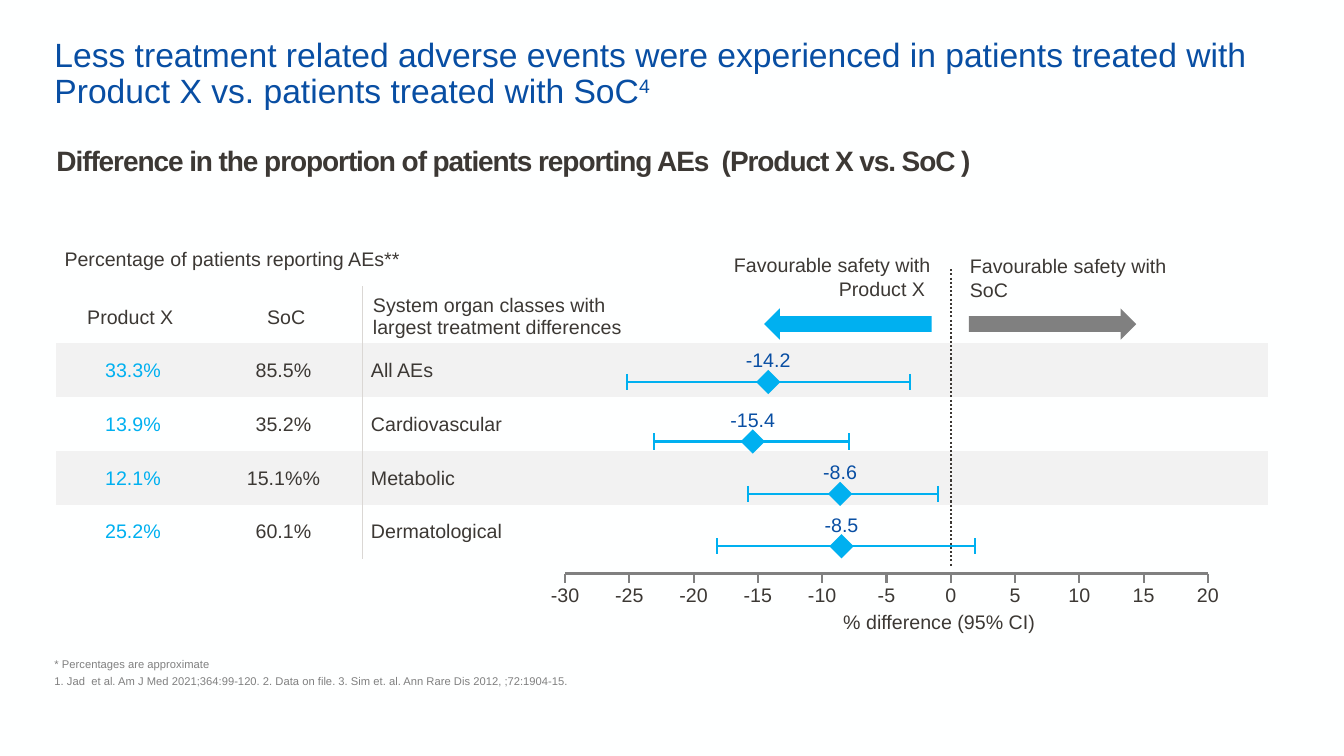
from lxml import etree
from pptx import Presentation
from pptx.dml.color import RGBColor
from pptx.enum.dml import MSO_LINE
from pptx.enum.shapes import MSO_CONNECTOR, MSO_SHAPE
from pptx.enum.text import MSO_ANCHOR, MSO_AUTO_SIZE, PP_ALIGN
from pptx.oxml.ns import qn
from pptx.util import Inches, Pt

# Content
TITLE = ("Less treatment related adverse events were experienced in patients "
         "treated with Product X vs. patients treated with SoC")
TITLE_REF = "4"
SUBTITLE = "Difference in the proportion of patients reporting AEs  (Product X vs. SoC )"
FOOTNOTES = [
    "* Percentages are approximate",
    "1. Jad  et al. Am J Med 2021;364:99-120. 2. Data on file. "
    "3. Sim et. al. Ann Rare Dis 2012, ;72:1904-15.",
]
TABLE_TITLE = "Percentage of patients reporting AEs**"
HEADERS = ("Product X ", "SoC", "System organ classes with\vlargest treatment differences")
# Product X, SoC, organ class, difference, CI low, CI high, height of the marker
EVENTS = [
    ("33.3%", "85.5% ", "All AEs", -14.2, -25.2, -3.2, 3.79),
    ("13.9%", "35.2% ", "Cardiovascular", -15.4, -23.1, -7.9, 4.38),
    ("12.1%", "15.1%% ", "Metabolic", -8.6, -15.8, -1.0, 4.90),
    ("25.2%", "60.1% ", "Dermatological", -8.5, -18.2, 1.9, 5.42),
]
AXIS_TITLE = "% difference (95% CI)"
AXIS_MIN, AXIS_MAX, AXIS_STEP = -30, 20, 5

# Colours and constants
PAPER = RGBColor(0xFE, 0xFF, 0xFF)
NAVY = RGBColor(0x08, 0x4E, 0xA3)
INK = RGBColor(0x3C, 0x38, 0x34)
CYAN = RGBColor(0x00, 0xB0, 0xF0)
GREY = RGBColor(0x80, 0x80, 0x80)
BAND = RGBColor(0xF2, 0xF2, 0xF2)
RULE = RGBColor(0xDA, 0xD7, 0xD4)
LEFT, CENTER, RIGHT = PP_ALIGN.LEFT, PP_ALIGN.CENTER, PP_ALIGN.RIGHT
TOP, MIDDLE, BOTTOM = MSO_ANCHOR.TOP, MSO_ANCHOR.MIDDLE, MSO_ANCHOR.BOTTOM
NO_AUTOFIT = MSO_AUTO_SIZE.NONE
DOTTED = MSO_LINE.ROUND_DOT
NO_TABLE_STYLE = "{2D5ABB26-0587-4C30-8999-92F81FD0307C}"

# Layout, in inches
COLUMNS = (1.52, 1.52, 8.98)
ROWS = (0.5, 0.53) + (0.535,) * len(EVENTS)
AXIS_Y, TICK = 5.69, 0.09
ZERO_X, UNIT = 9.43, 0.1275
CAP, DIAMOND = 0.08, 0.24

prs = Presentation()
prs.slide_width, prs.slide_height = Inches(13.33), Inches(7.5)
slide = prs.slides.add_slide(prs.slide_layouts[1])
slide.background.fill.solid()
slide.background.fill.fore_color.rgb = PAPER
shapes = slide.shapes


def axis_x(value):
    return ZERO_X + value * UNIT


def style(paragraph, size, color, align=LEFT, bold=False):
    paragraph.alignment = align
    font = paragraph.font
    font.name, font.size, font.bold = "Arial", Pt(size), bold
    font.color.rgb = color


def set_margins(target, left=0, top=0, right=0, bottom=0):
    target.margin_left, target.margin_top = Inches(left), Inches(top)
    target.margin_right, target.margin_bottom = Inches(right), Inches(bottom)


def place(shape, left, top, width, height):
    shape.left, shape.top = Inches(left), Inches(top)
    shape.width, shape.height = Inches(width), Inches(height)


def add_text(text, left, top, width, height, align=LEFT, size=14, wrap=True, bold=False):
    frame = shapes.add_textbox(Inches(left), Inches(top), Inches(width), Inches(height)).text_frame
    set_margins(frame)
    frame.word_wrap = wrap
    frame.text = text
    style(frame.paragraphs[0], size, INK, align, bold)
    return frame.paragraphs[0]


def add_line(x1, y1, x2, y2, color):
    line = shapes.add_connector(MSO_CONNECTOR.STRAIGHT, Inches(x1), Inches(y1),
                                Inches(x2), Inches(y2))
    line.line.color.rgb = color
    line.line.width = Pt(1.5)
    etree.SubElement(line._element.spPr, qn("a:effectLst"))
    return line


def add_filled(kind, left, top, width, height, color):
    shape = shapes.add_shape(kind, Inches(left), Inches(top), Inches(width), Inches(height))
    shape.shadow.inherit = False
    shape.fill.solid()
    shape.fill.fore_color.rgb = color
    shape.line.fill.background()
    return shape


def fill_cell(cell, text, align=LEFT, color=INK, anchor=MIDDLE, bottom=0.15, band=False):
    cell.text = text
    style(cell.text_frame.paragraphs[0], 14, color, align)
    cell.vertical_anchor = anchor
    set_margins(cell, 0.08, 0.05 if anchor == BOTTOM else 0.15, 0.08, bottom)
    if band:
        cell.fill.solid()
        cell.fill.fore_color.rgb = BAND
    else:
        cell.fill.background()


def add_left_border(cell):
    border = etree.SubElement(cell._tc.get_or_add_tcPr(), qn("a:lnL"), w=str(Pt(1)))
    fill = etree.SubElement(border, qn("a:solidFill"))
    etree.SubElement(fill, qn("a:srgbClr"), val=str(RULE))


# Title
title = shapes.title
place(title, 0.44, 0.08, 12.59, 1.07)
title.text_frame.auto_size = NO_AUTOFIT
title.text_frame.vertical_anchor = BOTTOM
title.text_frame.text = TITLE
heading = title.text_frame.paragraphs[0]
style(heading, 24, NAVY)
heading.line_spacing = 0.9
reference = heading.add_run()
reference.text = TITLE_REF
reference.font._element.set("baseline", "30000")

# Footnotes
notes = slide.placeholders[1]
place(notes, 0.44, 6.52, 12.2, 0.3)
notes.text_frame.auto_size = NO_AUTOFIT
notes.text_frame.vertical_anchor = BOTTOM
set_margins(notes.text_frame, left=0.1)
notes.text_frame.text = "\n".join(FOOTNOTES)
for note in notes.text_frame.paragraphs:
    style(note, 8, GREY)
    note.space_before = Pt(2)
    properties = note._p.get_or_add_pPr()
    properties.set("marL", "0")
    properties.set("indent", "0")
    properties.insert_element_before(etree.Element(qn("a:buNone")), "a:tabLst", "a:defRPr")

# Subtitle
subtitle = add_text(SUBTITLE, 0.56, 1.42, 11.15, 0.34, size=20, bold=True)
subtitle.runs[0].font._element.set("spc", "-80")

# Table
table = shapes.add_table(len(ROWS), len(COLUMNS), Inches(0.56), Inches(2.34),
                         Inches(sum(COLUMNS)), Inches(sum(ROWS))).table
table.first_row = table.horz_banding = False
table._tbl.tblPr.find(qn("a:tableStyleId")).text = NO_TABLE_STYLE
for column, width in zip(table.columns, COLUMNS):
    column.width = Inches(width)
for row, height in zip(table.rows, ROWS):
    row.height = Inches(height)
for r in range(1, len(ROWS)):
    add_left_border(table.cell(r, 2))
table.cell(0, 0).merge(table.cell(0, 2))
fill_cell(table.cell(0, 0), TABLE_TITLE, anchor=BOTTOM)
ALIGNMENTS = (CENTER, CENTER, LEFT)
for c, (header, align) in enumerate(zip(HEADERS, ALIGNMENTS)):
    fill_cell(table.cell(1, c), header, align, anchor=BOTTOM, bottom=0.05 if c == 2 else 0.15)
table.cell(1, 2).margin_left = Inches(0.1)
for r, event in enumerate(EVENTS):
    for c, (text, align) in enumerate(zip(event, ALIGNMENTS)):
        fill_cell(table.cell(r + 2, c), text, align, CYAN if c == 0 else INK, band=r % 2 == 0)

# Zero line and axis
add_line(ZERO_X, 2.67, ZERO_X, 5.62, INK).line.dash_style = DOTTED
add_line(axis_x(AXIS_MIN), AXIS_Y, axis_x(AXIS_MAX), AXIS_Y, GREY)
for value in range(AXIS_MIN, AXIS_MAX + 1, AXIS_STEP):
    x = axis_x(value)
    add_line(x, AXIS_Y, x, AXIS_Y + TICK, GREY)
    add_text(str(value), x - 0.2, AXIS_Y + TICK, 0.4, 0.24, CENTER)
add_text(AXIS_TITLE, 8.36, 6.05, 1.91, 0.24, CENTER, wrap=False)

# Directions
add_text("Favourable safety with Product X ", 6.92, 2.51, 2.31, 0.47, RIGHT)
add_text("Favourable safety with SoC", 9.62, 2.52, 2.03, 0.47)
add_filled(MSO_SHAPE.LEFT_ARROW, 7.58, 3.06, 1.66, 0.31, CYAN)
add_filled(MSO_SHAPE.RIGHT_ARROW, 9.61, 3.06, 1.66, 0.31, GREY)

# Confidence intervals with their estimates
for *_, difference, low, high, y in EVENTS:
    add_line(axis_x(low), y, axis_x(high), y, CYAN)
    for bound in (low, high):
        add_line(axis_x(bound), y - CAP, axis_x(bound), y + CAP, CYAN)
    marker = add_filled(MSO_SHAPE.DIAMOND, axis_x(difference) - DIAMOND / 2, y - DIAMOND / 2,
                        DIAMOND, DIAMOND, CYAN)
    label = marker.text_frame
    label.word_wrap = False
    label.vertical_anchor = BOTTOM
    set_margins(label, 0.1, 0, 0.1, 0.2)
    label.text = str(difference)
    style(label.paragraphs[0], 14, NAVY, CENTER)

prs.save("out.pptx")
